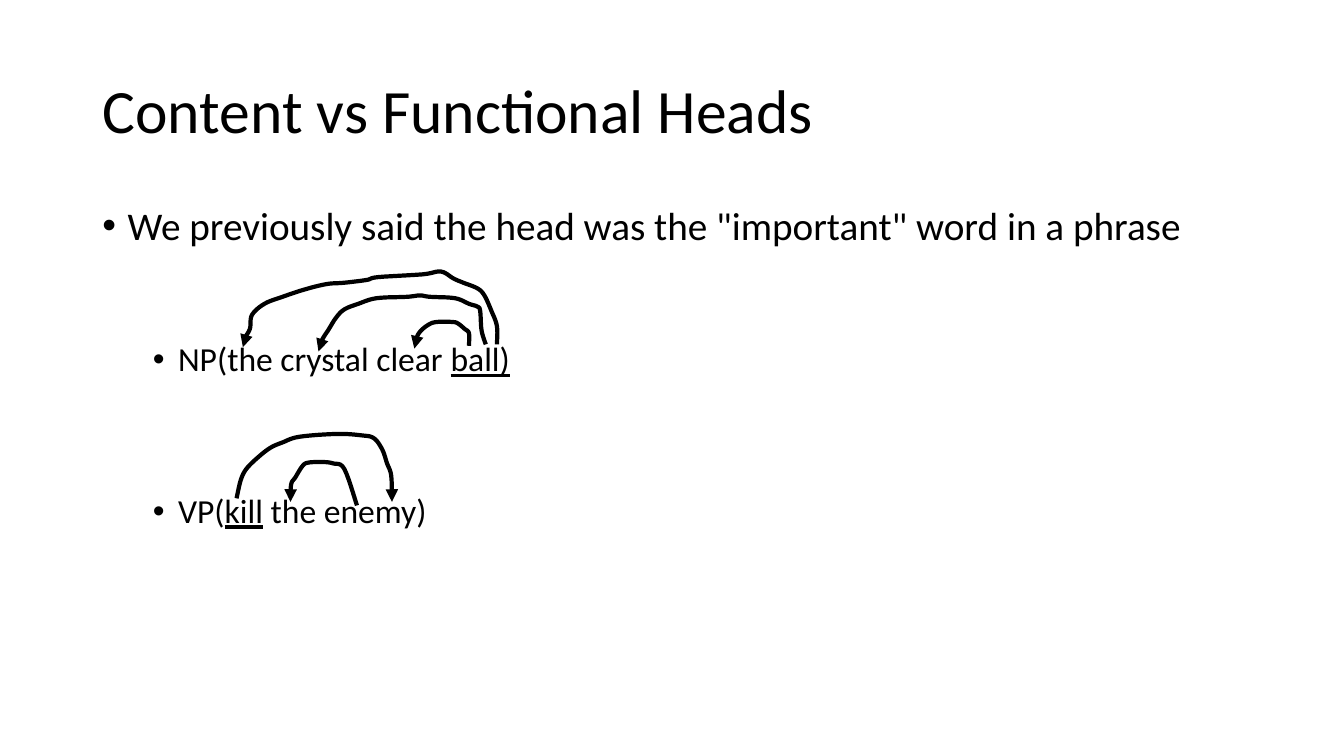
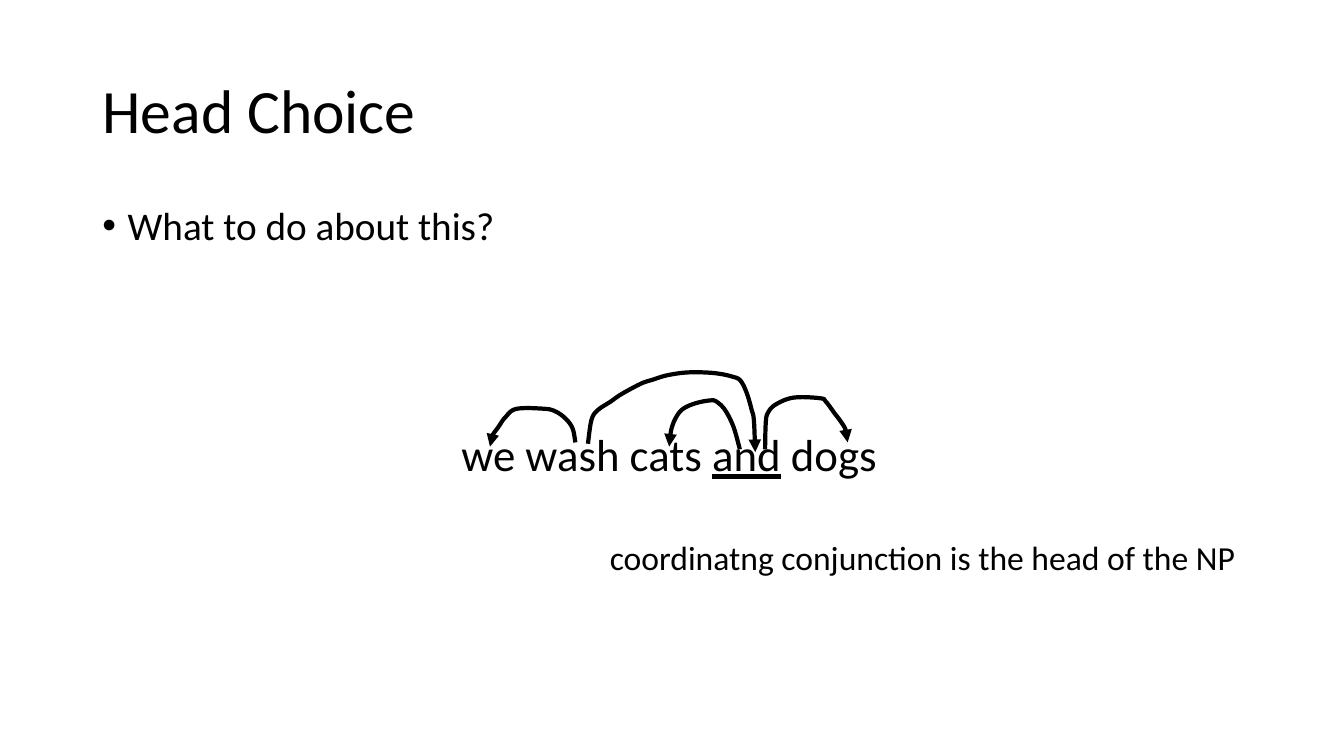
from lxml import etree
from pptx import Presentation
from pptx.dml.color import RGBColor
from pptx.enum.text import MSO_ANCHOR, MSO_AUTO_SIZE, PP_ALIGN
from pptx.oxml.ns import qn
from pptx.util import Pt

LEFT, MIDDLE, TOP = PP_ALIGN.LEFT, MSO_ANCHOR.MIDDLE, MSO_ANCHOR.TOP
NO_FIT, GROW = MSO_AUTO_SIZE.NONE, MSO_AUTO_SIZE.SHAPE_TO_FIT_TEXT

COLORS = {"ink": "000000", "paper": "FFFFFF"}
FONT = "Calibri"
SLIDE_SIZE = (960, 540)
TITLE_AREA = (66, 28.8, 828, 104.4)
BODY_AREA = (66, 144, 828, 342.72)
BULLET_SIZES = (28, 24)
BULLET_INDENT = 18
LEVEL_STEP = 36
CURVE_STEPS = 6

# Arrow waypoints, from the head word to its dependent
PHRASE_ARROWS = [
    # ball to clear, crystal, the
    [(335, 247), (335, 238), (332, 235), (327, 231), (323, 230), (312, 230),
     (306, 232), (300, 237), (297, 243), (296, 249)],
    [(347, 246), (344, 236), (343, 222), (341, 219), (335, 217), (325, 213),
     (307, 212), (300, 211), (291, 212), (269, 213), (256, 217), (246, 221),
     (240, 227), (235, 235), (230, 243), (227.5, 251)],
    [(355, 246), (355, 233), (351, 222), (346, 211), (341, 206), (331, 202),
     (324, 199), (315, 194), (302, 196), (270, 198), (262, 200), (246, 202),
     (233, 203), (217, 207), (202, 212), (189, 217), (180, 225),
     (178.5, 235), (174, 243), (173.5, 248)],
    # kill to enemy, enemy to the
    [(169, 356), (172, 343), (176, 335), (184, 327), (193, 320), (202, 316),
     (214, 312), (241, 310), (258, 311), (267, 313), (273, 321),
     (276.5, 331), (279.5, 340), (280, 358.5)],
    [(255, 361), (246, 335), (238, 331), (230, 330), (220, 330.5), (216, 333),
     (211, 341), (208, 346), (207.5, 358.5)],
]
COORDINATION_ARROWS = [
    # wash to we, wash to and
    [(411, 316), (409, 306), (404, 299), (397, 294), (389, 292), (369, 292),
     (361, 298), (356, 305), (350.5, 313), (350, 319)],
    [(420, 317), (422.5, 300), (427, 293), (436, 287), (444, 281.5),
     (458, 274), (467, 271), (477, 268), (492, 266), (510, 266.5), (523, 269),
     (529, 272), (533.5, 281), (537, 293), (538.5, 300), (539.5, 323)],
    # and to cats, and to dogs
    [(528.5, 321), (524, 305), (518, 293), (512, 287), (507.5, 286),
     (497, 288), (488, 292), (483, 298), (479.5, 307), (478, 319)],
    [(546.5, 321), (547, 302), (548.5, 295), (554, 289), (567, 284),
     (586, 284.5), (590, 287), (596, 295), (600.5, 301), (604, 307),
     (605.5, 316)],
]


def set_format(target, values):
    for name, value in values.items():
        setattr(target, name, value)


def place(shape, area):
    names = ("left", "top", "width", "height")
    set_format(shape, {name: Pt(size) for name, size in zip(names, area)})


def add_spans(para, spans, size):
    """Add (text, underlined) spans to a paragraph."""
    for text, underlined in spans:
        span = para.add_run()
        span.text = text
        set_format(span.font, {"name": FONT, "size": Pt(size), "underline": underlined})
        span.font.color.rgb = RGBColor.from_string(COLORS["ink"])


def add_bullet_mark(para, level):
    properties = para._p.get_or_add_pPr()
    properties.set("marL", str(Pt(BULLET_INDENT + LEVEL_STEP * level)))
    properties.set("indent", str(-Pt(BULLET_INDENT)))
    etree.SubElement(properties, qn("a:buFont")).set("typeface", "Arial")
    etree.SubElement(properties, qn("a:buChar")).set("char", "•")


def fill_title(page, text):
    frame = page.shapes.title.text_frame
    set_format(frame, {"vertical_anchor": MIDDLE, "auto_size": NO_FIT})
    para = frame.paragraphs[0]
    set_format(para, {"alignment": LEFT, "line_spacing": 0.9})
    add_spans(para, [(text, False)], 44)


def fill_body(page, bullets):
    """Fill the body with (level, space before, spans) bullets."""
    frame = page.placeholders[1].text_frame
    set_format(frame, {"vertical_anchor": TOP, "auto_size": NO_FIT})
    for index, (level, space, spans) in enumerate(bullets):
        para = frame.add_paragraph() if index else frame.paragraphs[0]
        set_format(para, {"level": level, "alignment": LEFT,
                          "line_spacing": 0.9, "space_before": Pt(space)})
        add_bullet_mark(para, level)
        add_spans(para, spans, BULLET_SIZES[level])


def add_label(page, area, spans, size):
    box = page.shapes.add_textbox(*map(Pt, area))
    set_format(box.text_frame, {"word_wrap": False, "auto_size": GROW})
    add_spans(box.text_frame.paragraphs[0], spans, size)


def smooth(points):
    """Return a Catmull-Rom curve through the points."""
    padded = [points[0], *points, points[-1]]
    curve = [points[0]]
    for a, b, c, d in zip(padded, padded[1:], padded[2:], padded[3:]):
        for step in range(1, CURVE_STEPS + 1):
            t = step / CURVE_STEPS
            curve.append(tuple(
                q + t / 2 * (r - p + t * (2 * p - 5 * q + 4 * r - s
                                          + t * (3 * (q - r) + s - p)))
                for p, q, r, s in zip(a, b, c, d)))
    return curve


def add_arrow(page, points):
    start, *rest = [(Pt(x), Pt(y)) for x, y in smooth(points)]
    builder = page.shapes.build_freeform(*start)
    builder.add_line_segments(rest, close=False)
    arrow = builder.convert_to_shape()
    arrow.shadow.inherit = False
    arrow.fill.background()
    arrow.line.color.rgb = RGBColor.from_string(COLORS["ink"])
    arrow.line.width = Pt(3)
    outline = arrow.line._get_or_add_ln()
    etree.SubElement(outline, qn("a:round"))
    etree.SubElement(outline, qn("a:tailEnd")).set("type", "triangle")


def make_layout(deck):
    """Fit the title and content layout to the wide slide."""
    set_format(deck, dict(zip(("slide_width", "slide_height"), map(Pt, SLIDE_SIZE))))
    fill = deck.slide_master.background.fill
    fill.solid()
    fill.fore_color.rgb = RGBColor.from_string(COLORS["paper"])
    layout = deck.slide_layouts[1]
    for box, area in zip(layout.placeholders, (TITLE_AREA, BODY_AREA)):
        place(box, area)
    return layout


def add_page(deck, layout, title, bullets, arrows):
    page = deck.slides.add_slide(layout)
    fill_title(page, title)
    fill_body(page, bullets)
    for points in arrows:
        add_arrow(page, points)
    return page


def main():
    deck = Presentation()
    layout = make_layout(deck)

    # Heads of noun and verb phrases
    add_page(deck, layout, "Content vs Functional Heads", [
        (0, 0, [('We previously said the head was the "important" word in a phrase', False)]),
        (1, 67, [("NP(the crystal clear ", False), ("ball)", True)]),
        (1, 82.5, [("VP(", False), ("kill", True), (" the enemy)", False)]),
    ], PHRASE_ARROWS)

    # Head of a coordination
    page = add_page(deck, layout, "Head Choice",
                    [(0, 0, [("What to do about this?", False)])],
                    COORDINATION_ARROWS)
    place(page.placeholders[1], (*BODY_AREA[:3], 147))
    add_label(page, (322.5, 301.5, 314.5, 46),
              [("we wash cats ", False), ("and", True), (" dogs", False)], 32)
    add_label(page, (428.5, 380, 466, 36),
              [("coordinatng conjunction is the head of the NP", False)], 24)

    deck.save("out.pptx")


if __name__ == "__main__":
    main()
